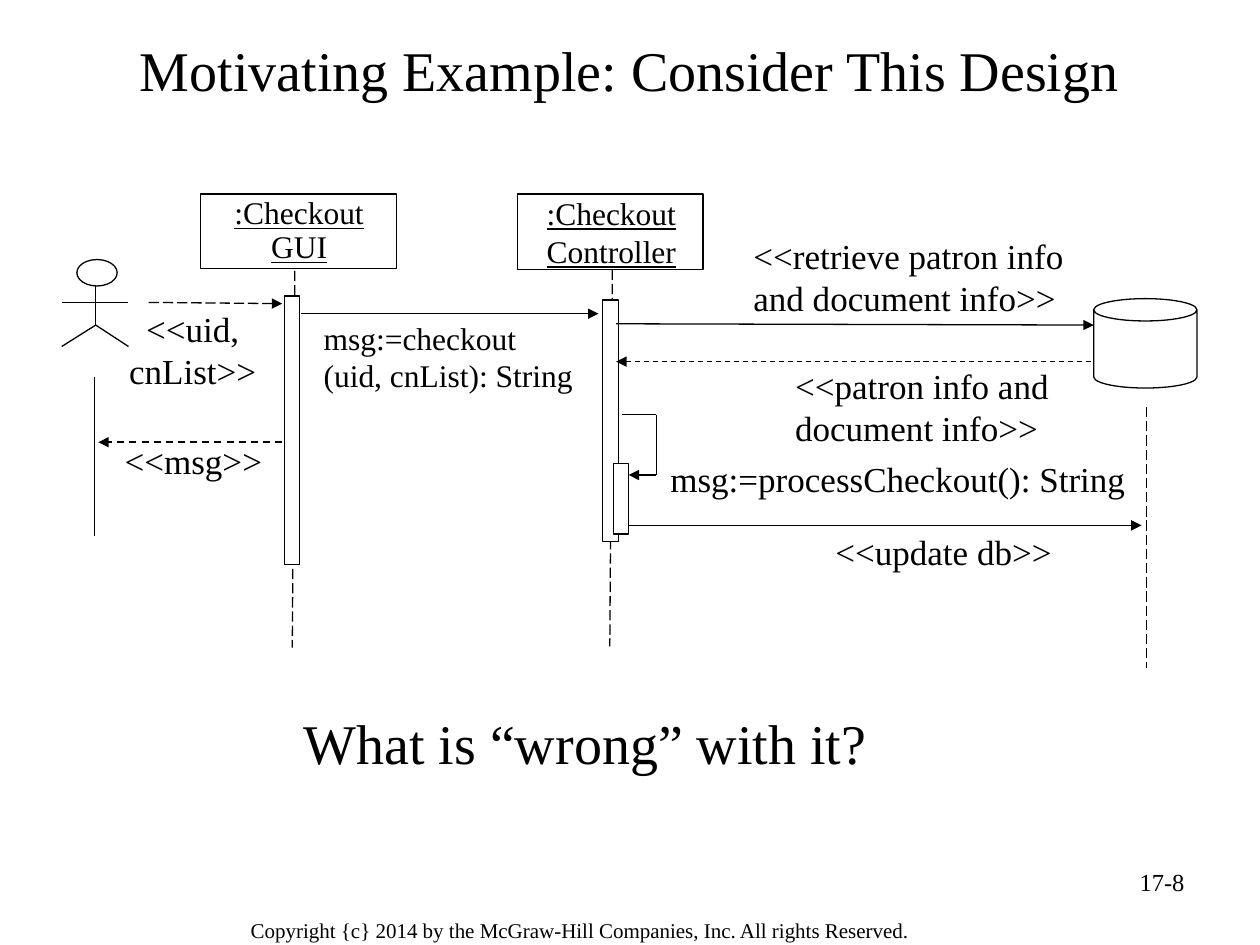
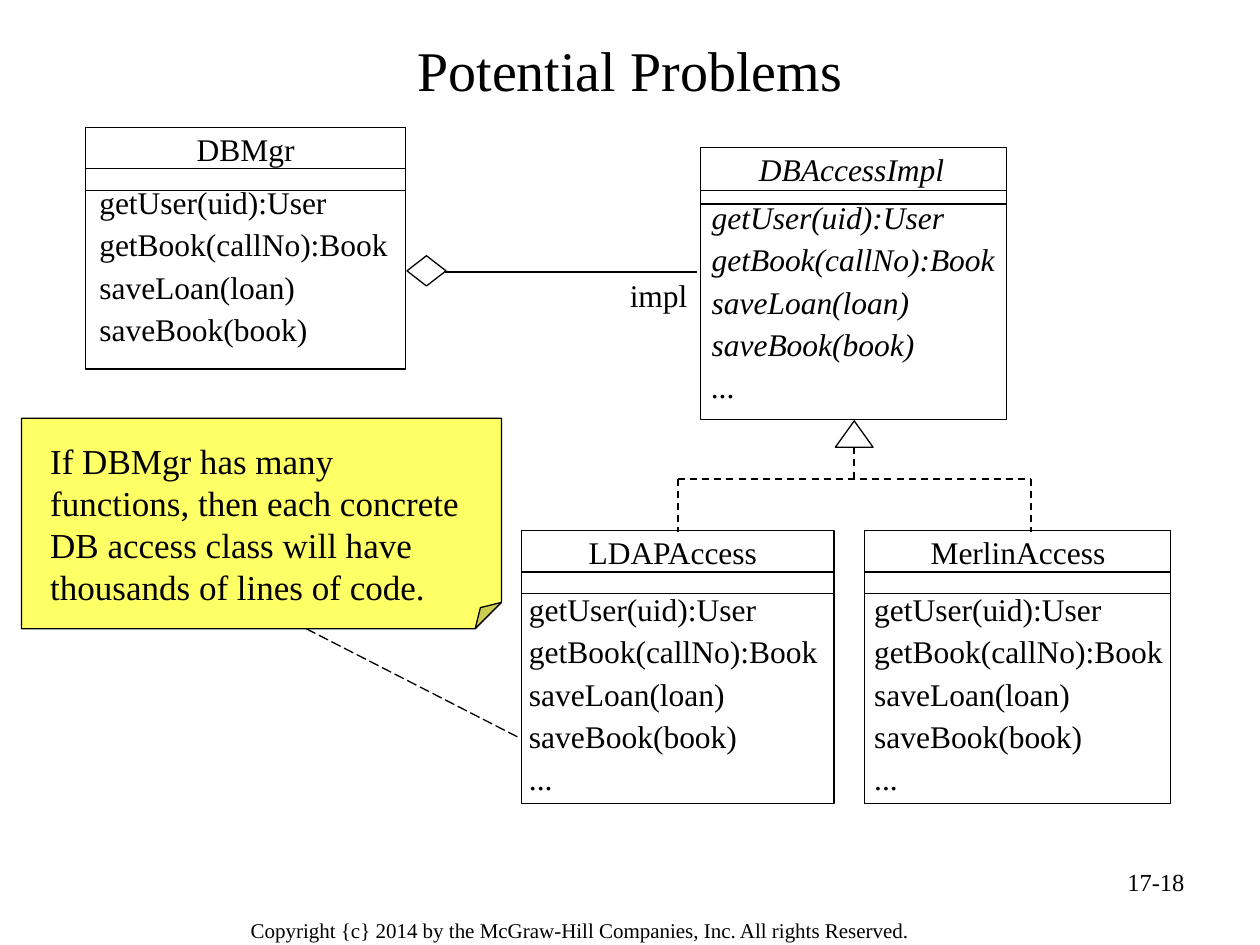
from lxml import etree
from pptx import Presentation
from pptx.dml.color import RGBColor
from pptx.enum.dml import MSO_LINE
from pptx.enum.shapes import MSO_CONNECTOR, MSO_SHAPE
from pptx.enum.text import MSO_ANCHOR, PP_ALIGN
from pptx.oxml.ns import qn
from pptx.util import Inches, Pt

LEFT, CENTER, RIGHT = PP_ALIGN.LEFT, PP_ALIGN.CENTER, PP_ALIGN.RIGHT
DASH, LONG = MSO_LINE.DASH, MSO_LINE.LONG_DASH
RECT, OVAL, CAN = MSO_SHAPE.RECTANGLE, MSO_SHAPE.OVAL, MSO_SHAPE.CAN
TRIANGLE, DIAMOND = MSO_SHAPE.ISOSCELES_TRIANGLE, MSO_SHAPE.DIAMOND
NOTE = MSO_SHAPE.FOLDED_CORNER
STRAIGHT = MSO_CONNECTOR.STRAIGHT

FONT, INK, WHITE, YELLOW = "Times New Roman", "000000", "FFFFFF", "FFFF66"
THIN, THICK = 0.75, 1
PAD, NO_PAD = (0.1, 0.05), (0, 0)
COPYRIGHT = "Copyright {c} 2014 by the McGraw-Hill Companies, Inc. All rights Reserved."

ACTOR_HEAD = (0.61, 2.06, 0.32, 0.21)
ACTOR_LIMBS = [
    (0.76, 2.27, 0.76, 2.58), (0.76, 2.58, 1.02, 2.75),
    (0.76, 2.58, 0.49, 2.75), (0.49, 2.4, 1.02, 2.4),
]
ACTOR_LIFELINE = (0.75, 2.99, 0.75, 4.25)
OBJECT_BOXES = [(1.59, 1.54, 1.56, 0.59), (4.11, 1.54, 1.47, 0.6)]
DATABASE = (8.68, 2.37, 0.82, 0.71)
LIFELINES = [
    (2.34, 2.15, 2.32, 5.14), (4.86, 2.14, 4.84, 5.13), (9.1, 3.23, 9.1, 5.3),
]
ACTIVATIONS = [(2.26, 2.35, 0.12, 2.13), (4.78, 2.38, 0.13, 1.92)]
NESTED_ACTIVATION = (4.87, 3.68, 0.12, 0.56)
SELF_CALL = [(4.94, 3.29, 5.21, 3.29), (5.21, 3.29, 5.21, 3.77)]
MESSAGES = [
    ((1.18, 2.4, 2.24, 2.41), LONG, THIN),
    ((2.39, 2.49, 4.75, 2.49), None, THIN),
    ((2.24, 3.51, 0.78, 3.51), DASH, THICK),
    ((4.89, 2.57, 8.68, 2.58), None, THIN),
    ((8.66, 2.87, 4.89, 2.87), DASH, THIN),
    ((5.21, 3.77, 4.99, 3.77), None, THIN),
    ((4.92, 4.17, 9.06, 4.17), None, THIN),
]
SEQUENCE_LABELS = [
    ((1.76, 1.52, 1.23, 0.64), [":Checkout", "GUI"],
     dict(size=18, align=CENTER, underline=True, spacing=0.9, wrap=False)),
    ((4.24, 1.49, 1.23, 0.7), [":Checkout", "Controller"],
     dict(size=18, underline=True, wrap=False)),
    ((0.68, 2.39, 1.7, 0.77), ["<<uid,", "cnList>>"], dict(align=CENTER)),
    ((2.47, 2.48, 2.43, 0.7), ["msg:=checkout", "(uid, cnList): String"],
     dict(size=18)),
    ((0.89, 3.44, 1.29, 0.44), ["<<msg>>"], dict(wrap=False)),
    ((5.98, 1.86, 2.53, 0.67), ["<<retrieve patron info", "and document info>>"],
     dict(pad=NO_PAD, wrap=False)),
    ((6.31, 2.89, 2.08, 0.67), ["<<patron info and", "document info>>"],
     dict(pad=NO_PAD, wrap=False)),
    ((5.32, 3.63, 3.68, 0.33), ["msg:=processCheckout(): String"],
     dict(pad=NO_PAD)),
    ((6.63, 4.21, 1.72, 0.33), ["<<update db>>"], dict(pad=NO_PAD, wrap=False)),
    ((2.41, 5.62, 4.76, 0.53), ["What is “wrong” with it?"],
     dict(size=32, pad=NO_PAD)),
]

METHODS = ["getUser(uid):User", "getBook(callNo):Book", "saveLoan(loan)",
           "saveBook(book)"]
CLASSES = [
    dict(name="DBMgr", box=(0.68, 1.01, 2.54, 1.92), middle=1.95,
         rules=(0.33, 0.5), methods=METHODS, at=(0.69, 1.51)),
    dict(name="DBAccessImpl", box=(5.56, 1.17, 2.43, 2.16), middle=6.76,
         rules=(0.34, 0.45), methods=METHODS + ["..."], at=(5.55, 1.63),
         italic=True),
    dict(name="LDAPAccess", box=(4.14, 4.21, 2.48, 2.17), middle=5.34,
         rules=(0.33, 0.5), methods=METHODS + ["..."], at=(4.1, 4.74)),
    dict(name="MerlinAccess", box=(6.86, 4.21, 2.43, 2.17), middle=8.08,
         rules=(0.33, 0.5), methods=METHODS + ["..."], at=(6.84, 4.74)),
]
REALIZATIONS = [
    (5.38, 3.8, 8.18, 3.8), (5.38, 3.8, 5.38, 4.22),
    (8.18, 3.8, 8.18, 4.22), (6.78, 3.55, 6.78, 3.8),
]
REALIZATION_HEAD = (6.63, 3.34, 0.3, 0.21)
AGGREGATION_HEAD = (3.23, 2.03, 0.31, 0.24)
AGGREGATION = (3.53, 2.16, 5.53, 2.16)
NOTE_BOX = (0.17, 3.32, 3.81, 1.67)
NOTE_LINK = (2.43, 4.99, 4.13, 5.86)
NOTE_TEXT = ("If DBMgr has many functions, then each concrete DB access class "
             "will have thousands of lines of code.")


def rgb(value):
    return RGBColor.from_string(value)


def inches(values):
    return [Inches(v) for v in values]


def style(p, size, align=LEFT, italic=False, underline=False):
    p.alignment = align
    p.font.name = FONT
    p.font.size = Pt(size)
    p.font.color.rgb = rgb(INK)
    p.font.italic = italic
    p.font.underline = underline


def add_text(s, box, lines, size=20, pad=PAD, wrap=True, spacing=None,
             before=0, **look):
    tf = s.shapes.add_textbox(*inches(box)).text_frame
    tf.word_wrap = wrap
    tf.margin_left = tf.margin_right = Inches(pad[0])
    tf.margin_top = tf.margin_bottom = Inches(pad[1])
    for i, line in enumerate(lines):
        p = tf.add_paragraph() if i else tf.paragraphs[0]
        p.text = line
        if spacing:
            p.line_spacing = spacing
        if i and before:
            p.space_before = Pt(before)
        style(p, size, **look)


def add_shape(s, kind, box, fill=None):
    sp = s.shapes.add_shape(kind, *inches(box))
    sp.shadow.inherit = False
    if fill:
        sp.fill.solid()
        sp.fill.fore_color.rgb = rgb(fill)
    else:
        sp.fill.background()
    sp.line.color.rgb = rgb(INK)
    sp.line.width = Pt(THIN)
    return sp


def add_note(s, box, fold):
    sp = add_shape(s, NOTE, box, YELLOW)
    guides = sp._element.spPr.find(qn("a:prstGeom")).find(qn("a:avLst"))
    etree.SubElement(guides, qn("a:gd"), name="adj", fmla=f"val {fold}")


def add_line(s, ends, dash=None, width=THIN, arrow=False):
    line = s.shapes.add_connector(STRAIGHT, *inches(ends))
    line.line.color.rgb = rgb(INK)
    line.line.width = Pt(width)
    if dash:
        line.line.dash_style = dash
    props = line._element.spPr
    if arrow:
        etree.SubElement(props.find(qn("a:ln")), qn("a:tailEnd"), type="triangle")
    etree.SubElement(props, qn("a:effectLst"))


def add_slide(prs, title, number):
    s = prs.slides.add_slide(prs.slide_layouts[5])
    sp = s.shapes.title
    sp.left, sp.top, sp.width, sp.height = inches((0.5, 0.17, 9, 0.75))
    sp.text_frame.text = title
    sp.text_frame.vertical_anchor = MSO_ANCHOR.MIDDLE
    style(sp.text_frame.paragraphs[0], 32, CENTER)
    add_text(s, (1.88, 7.22, 6.19, 0.31), [COPYRIGHT], size=12, pad=(0.11, 0.06))
    add_text(s, (7.17, 6.83, 2.33, 0.52), [number], size=14, align=RIGHT)
    return s


def add_class(s, name, box, middle, rules, methods, at, italic=False):
    x, y, w, h = box
    add_shape(s, RECT, box)
    add_text(s, (middle - w / 2, y - 0.03, w, 0.4), [name], size=18,
             align=CENTER, italic=italic)
    for rule in rules:
        add_line(s, (x, y + rule, x + w, y + rule))
    add_text(s, (*at, 2.63, y + h - at[1]), methods, size=18, spacing=0.6,
             before=11.2, italic=italic)


def build_sequence(prs):
    s = add_slide(prs, "Motivating Example: Consider This Design", "17-8")
    add_shape(s, OVAL, ACTOR_HEAD)
    for ends in ACTOR_LIMBS + [ACTOR_LIFELINE] + SELF_CALL:
        add_line(s, ends)
    for box in OBJECT_BOXES:
        add_shape(s, RECT, box)
    add_shape(s, CAN, DATABASE)
    for ends in LIFELINES:
        add_line(s, ends, LONG)
    for box in ACTIVATIONS:
        add_shape(s, RECT, box, WHITE)
    for ends, dash, width in MESSAGES:
        add_line(s, ends, dash, width, arrow=True)
    add_shape(s, RECT, NESTED_ACTIVATION, WHITE)
    for box, lines, look in SEQUENCE_LABELS:
        add_text(s, box, lines, **look)


def build_classes(prs):
    s = add_slide(prs, "Potential Problems", "17-18")
    for ends in REALIZATIONS:
        add_line(s, ends, DASH, THICK)
    for item in CLASSES:
        add_class(s, **item)
    add_shape(s, TRIANGLE, REALIZATION_HEAD)
    add_shape(s, DIAMOND, AGGREGATION_HEAD)
    add_line(s, AGGREGATION)
    add_text(s, (4.9, 2.14, 0.66, 0.4), ["impl"], size=18, wrap=False)
    add_note(s, NOTE_BOX, 12500)
    add_text(s, (0.3, 3.44, 3.6, 1.44), [NOTE_TEXT])
    add_line(s, NOTE_LINK, LONG)


def main():
    prs = Presentation()
    prs.slide_width, prs.slide_height = inches((10, 7.5))
    build_sequence(prs)
    build_classes(prs)
    prs.save("out.pptx")


if __name__ == "__main__":
    main()
